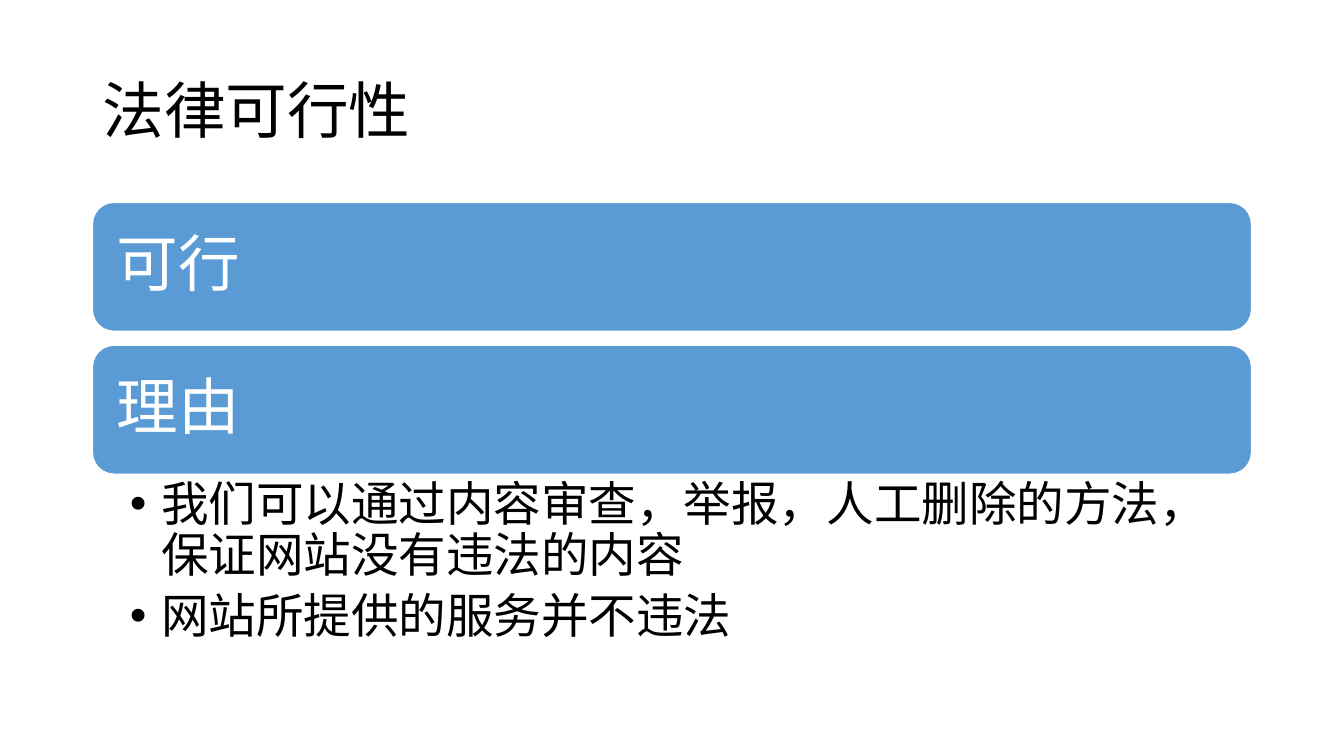
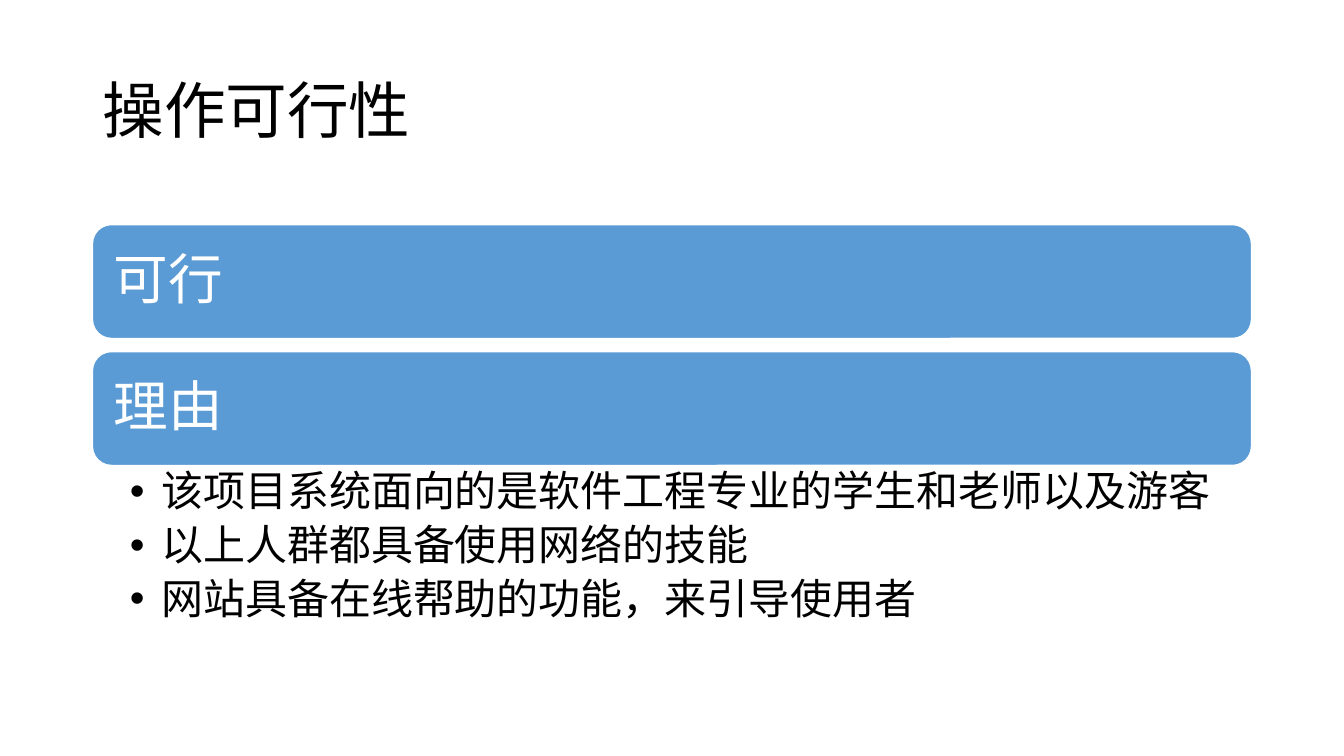
import dataclasses
import typing

import lxml.etree
import pptx
import pptx.dml.color
import pptx.enum.shapes
import pptx.enum.text
import pptx.oxml.ns
import pptx.util

Cm = pptx.util.Cm
Pt = pptx.util.Pt
qn = pptx.oxml.ns.qn
Align = pptx.enum.text.PP_ALIGN
Anchor = pptx.enum.text.MSO_ANCHOR

COLORS = {"ink": "000000", "bar": "5B9BD5", "paper": "FFFFFF"}
FONT = "Noto Sans CJK SC"
LEFT, WIDTH = 2.33, 29.21
INDENT = Cm(0.79)
FRAME = {"word_wrap": True, "auto_size": pptx.enum.text.MSO_AUTO_SIZE.NONE}
PARA = {"alignment": Align.LEFT, "line_spacing": 0.9, "space_before": Pt(0)}


@dataclasses.dataclass(frozen=True)
class Page:
    title: str
    points: tuple[str, ...]
    top: float
    height: float
    gap: float
    inset: float
    size: int
    small: int
    right: float
    edge: float


BARS = ("可行", "理由")
PAGES = (
    Page("法律可行性",
         ("我们可以通过内容审查，举报，人工删除的方法，保证网站没有违法的内容",
          "网站所提供的服务并不违法"),
         5.1, 3.25, 0.35, 0.46, 44, 34, 0.86, 0.15),
    Page("操作可行性",
         ("该项目系统面向的是软件工程专业的学生和老师以及游客",
          "以上人群都具备使用网络的技能",
          "网站具备在线帮助的功能，来引导使用者"),
         5.66, 2.87, 0.33, 0.4, 39, 30, 0.76, 0.13),
)


def style(item: typing.Any, form: dict[str, typing.Any]) -> None:
    for name, value in form.items():
        setattr(item, name, value)


def color(name: str) -> pptx.dml.color.RGBColor:
    return pptx.dml.color.RGBColor.from_string(COLORS[name])


def place(shape: typing.Any, top: float, height: float) -> None:
    style(shape, {"left": Cm(LEFT), "top": Cm(top),
                  "width": Cm(WIDTH), "height": Cm(height)})


def write(para: typing.Any, text: str, size: int, ink: str) -> None:
    style(para, PARA)
    run = para.add_run()
    run.text = text
    style(run.font, {"name": FONT, "size": Pt(size), "bold": False})
    run.font.color.rgb = color(ink)
    lxml.etree.SubElement(run._r.get_or_add_rPr(), qn("a:ea"), typeface=FONT)


def margins(left: float, right: float, edge: float) -> dict[str, int]:
    return {"margin_left": Cm(left), "margin_right": Cm(right),
            "margin_top": Cm(edge), "margin_bottom": Cm(edge)}


def draw_title(slide: typing.Any, text: str) -> None:
    title = slide.shapes.title
    place(title, 1.01, 3.68)
    style(title.text_frame, FRAME | {"vertical_anchor": Anchor.MIDDLE})
    write(title.text_frame.paragraphs[0], text, 44, "ink")


def draw_bar(slide: typing.Any, page: Page, text: str, top: float) -> None:
    bar = slide.shapes.add_shape(
        pptx.enum.shapes.MSO_SHAPE.ROUNDED_RECTANGLE,
        Cm(LEFT), Cm(top), Cm(WIDTH), Cm(page.height))
    bar.shadow.inherit = False
    bar.fill.solid()
    bar.fill.fore_color.rgb = color("bar")
    bar.line.color.rgb = color("paper")
    bar.line.width = Pt(1)
    inset = margins(page.inset, page.inset, page.inset)
    style(bar.text_frame, FRAME | inset | {"vertical_anchor": Anchor.MIDDLE})
    write(bar.text_frame.paragraphs[0], text, page.size, "paper")


def draw_list(slide: typing.Any, page: Page, top: float) -> None:
    body = slide.placeholders[1]
    place(body, top, 5)
    frame = body.text_frame
    inset = margins(0.94, page.right, page.edge)
    style(frame, FRAME | inset | {"vertical_anchor": Anchor.TOP})
    for index, point in enumerate(page.points):
        para = frame.add_paragraph() if index else frame.paragraphs[0]
        write(para, point, page.small, "ink")
        style(para, {"level": 1, "space_after": Pt(page.small * 0.2)})
        props = para._p.get_or_add_pPr()
        props.set("marL", str(INDENT))
        props.set("indent", str(-INDENT))
        lxml.etree.SubElement(props, qn("a:buFont"), typeface="Arial")
        lxml.etree.SubElement(props, qn("a:buChar"), char="•")


def draw_page(deck: typing.Any, page: Page) -> None:
    slide = deck.slides.add_slide(deck.slide_layouts[1])
    draw_title(slide, page.title)
    step = page.height + page.gap
    for index, text in enumerate(BARS):
        draw_bar(slide, page, text, page.top + index * step)
    draw_list(slide, page, page.top + len(BARS) * step - page.gap)


def main() -> None:
    deck = pptx.Presentation()
    style(deck, {"slide_width": Cm(33.87), "slide_height": Cm(19.05)})
    for page in PAGES:
        draw_page(deck, page)
    deck.save("out.pptx")


if __name__ == "__main__":
    main()
